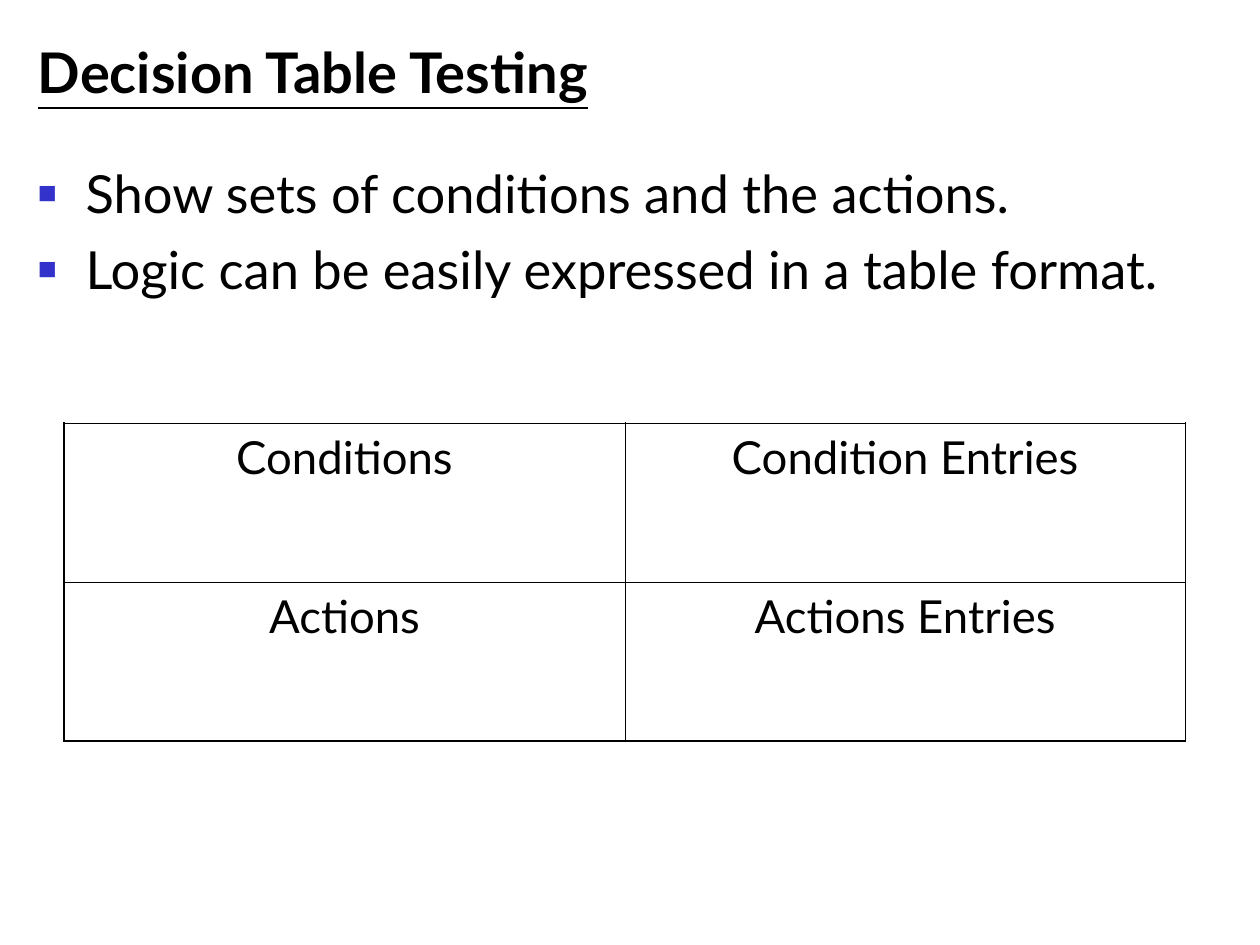
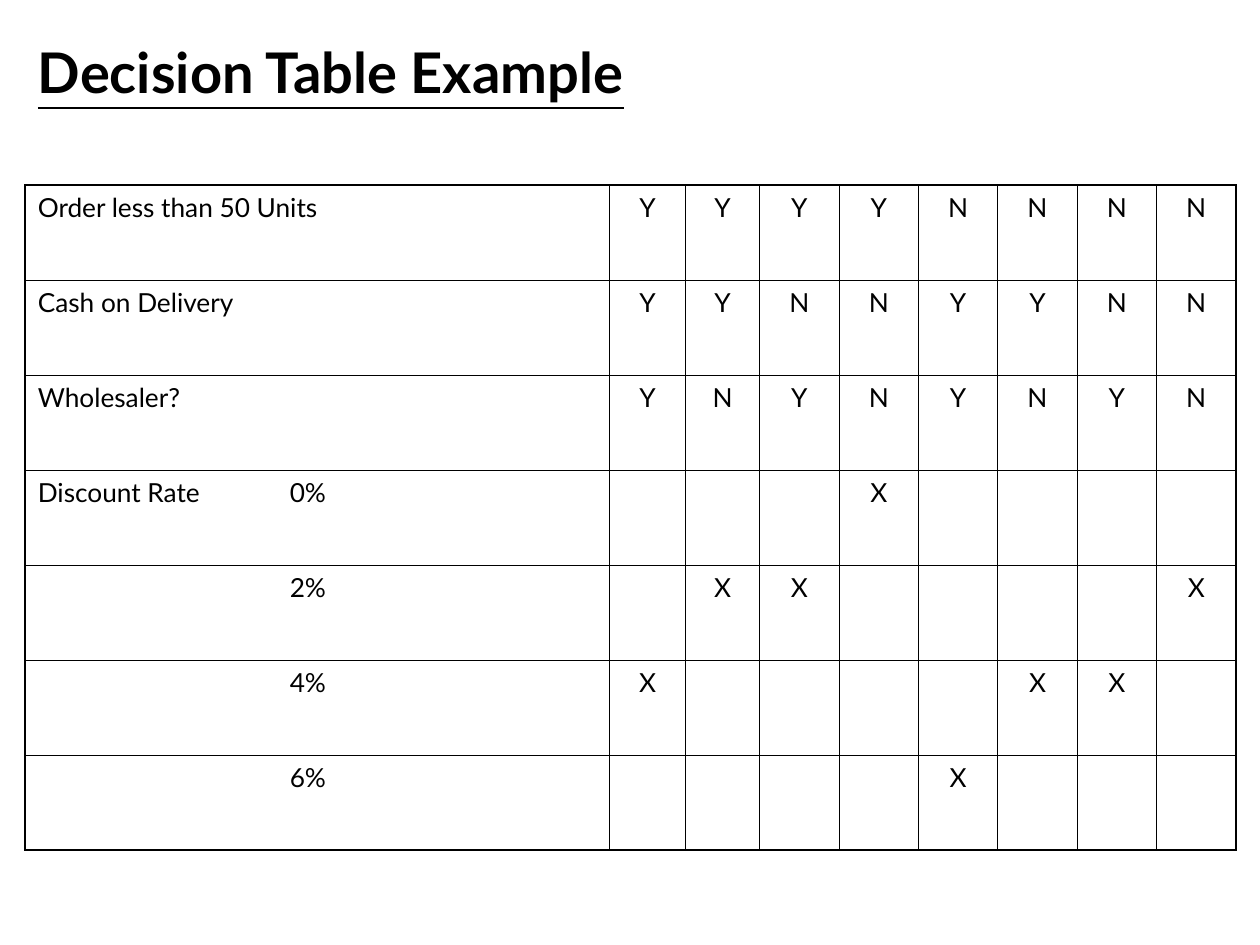
import pptx
import pptx.dml.color
import pptx.enum.text
import pptx.oxml
import pptx.oxml.ns
import pptx.util

FONT = "Lato"
INK = "000000"
BULLET_COLOUR = "3333CC"
OUTER_LINE, INNER_LINE = 1.08, 0.45
LEFT = pptx.enum.text.PP_ALIGN.LEFT
CENTER = pptx.enum.text.PP_ALIGN.CENTER
NAMESPACE = pptx.oxml.ns.nsdecls("a")

presentation = pptx.Presentation()
presentation.slide_width = pptx.util.Inches(10)
presentation.slide_height = pptx.util.Inches(7.5)
WIDTH, HEIGHT = presentation.slide_width, presentation.slide_height


def write_text(paragraph, text, size, align=LEFT, before=0, bold=False, underline=False):
    paragraph.alignment = align
    paragraph.space_before = pptx.util.Pt(before)
    run = paragraph.add_run()
    run.text = text
    run.font.name = FONT
    run.font.size = pptx.util.Pt(size)
    run.font.bold = bold
    run.font.underline = underline
    run.font.color.rgb = pptx.dml.color.RGBColor.from_string(INK)


def add_grid(slide, left, top, column_shares, height, rows, size, before, margin, first_align):
    last_row, last_column = len(rows) - 1, len(column_shares) - 1
    table = slide.shapes.add_table(
        len(rows), len(column_shares), int(WIDTH * left), int(HEIGHT * top),
        int(WIDTH * sum(column_shares)), int(HEIGHT * height)).table
    table.first_row = table.horz_banding = False
    for column, share in zip(table.columns, column_shares):
        column.width = int(WIDTH * share)
    for row_index, texts in enumerate(rows):
        table.rows[row_index].height = int(HEIGHT * height / len(rows))
        for column_index, text in enumerate(texts):
            cell = table.cell(row_index, column_index)
            cell.margin_left = cell.margin_right = pptx.util.Inches(margin)
            sides = {"L": column_index == 0, "R": column_index == last_column,
                     "T": row_index == 0, "B": row_index == last_row}
            properties = cell._tc.get_or_add_tcPr()
            for side, is_outer in sides.items():
                line = pptx.util.Pt(OUTER_LINE if is_outer else INNER_LINE)
                properties.append(pptx.oxml.parse_xml(
                    f'<a:ln{side} {NAMESPACE} w="{line}"><a:solidFill>'
                    f'<a:srgbClr val="{INK}"/></a:solidFill></a:ln{side}>'))
            cell.fill.background()
            if text.strip():
                paragraph = cell.text_frame.paragraphs[0]
                align = CENTER if column_index else first_align
                write_text(paragraph, text, size, align, before)
                if "\t" in text:
                    stops = "".join(f'<a:tab pos="{pptx.util.Inches(inch)}" algn="l"/>'
                                    for inch in (1, 2))
                    paragraph._p.get_or_add_pPr().append(pptx.oxml.parse_xml(
                        f"<a:tabLst {NAMESPACE}>{stops}</a:tabLst>"))


slides = []
for layout_index, heading in [(1, "Decision Table Testing"), (5, "Decision Table Example")]:
    slide = presentation.slides.add_slide(presentation.slide_layouts[layout_index])
    title = slide.shapes.title
    title.left, title.top = int(WIDTH * 0.02), int(HEIGHT * 0.028)
    title.width, title.height = int(WIDTH * 0.756), int(HEIGHT * 0.095)
    title.text_frame.auto_size = pptx.enum.text.MSO_AUTO_SIZE.NONE
    title.text_frame.vertical_anchor = pptx.enum.text.MSO_ANCHOR.MIDDLE
    write_text(title.text_frame.paragraphs[0], heading, 32, bold=True, underline=True)
    slides.append(slide)
overview, example = slides

body = overview.placeholders[1]
body.left, body.top = int(WIDTH * 0.02), int(HEIGHT * 0.164)
body.width, body.height = int(WIDTH * 0.953), int(HEIGHT * 0.336)
body.text_frame.auto_size = pptx.enum.text.MSO_AUTO_SIZE.NONE
points = ["Show sets of conditions and the actions.",
          "Logic can be easily expressed in a table format."]
for index, point in enumerate(points):
    paragraph = body.text_frame.add_paragraph() if index else body.text_frame.paragraphs[0]
    write_text(paragraph, point, 30, before=7.5)
    properties = paragraph._p.get_or_add_pPr()
    indent = pptx.util.Inches(0.38)
    properties.set("marL", str(indent))
    properties.set("indent", str(-indent))
    for bullet in (f'<a:buClr {NAMESPACE}><a:srgbClr val="{BULLET_COLOUR}"/></a:buClr>',
                   f'<a:buSzPct {NAMESPACE} val="60000"/>',
                   f'<a:buChar {NAMESPACE} char="■"/>'):
        properties.append(pptx.oxml.parse_xml(bullet))

add_grid(overview, 0.051, 0.448, [0.445] * 2, 0.336,
         [["Conditions", "Condition Entries"], ["Actions", "Actions Entries"]],
         size=26, before=6.5, margin=0.2, first_align=CENTER)

rules = [
    ("Order less than 50 Units", "YYYYNNNN"),
    ("Cash on Delivery", "YYNNYYNN"),
    ("Wholesaler?", "YNYNYNYN"),
    ("Discount Rate\t0%", "   X    "),
    ("\t\t2%", " XX    X"),
    ("\t\t4%", "X    XX "),
    ("\t\t6%", "    X   "),
]
add_grid(example, 0.02, 0.196, [0.464, 0.06, 0.059] + [0.063] * 6, 0.704,
         [[label, *entries] for label, entries in rules],
         size=15, before=3.7, margin=0.1, first_align=LEFT)

presentation.save("out.pptx")
